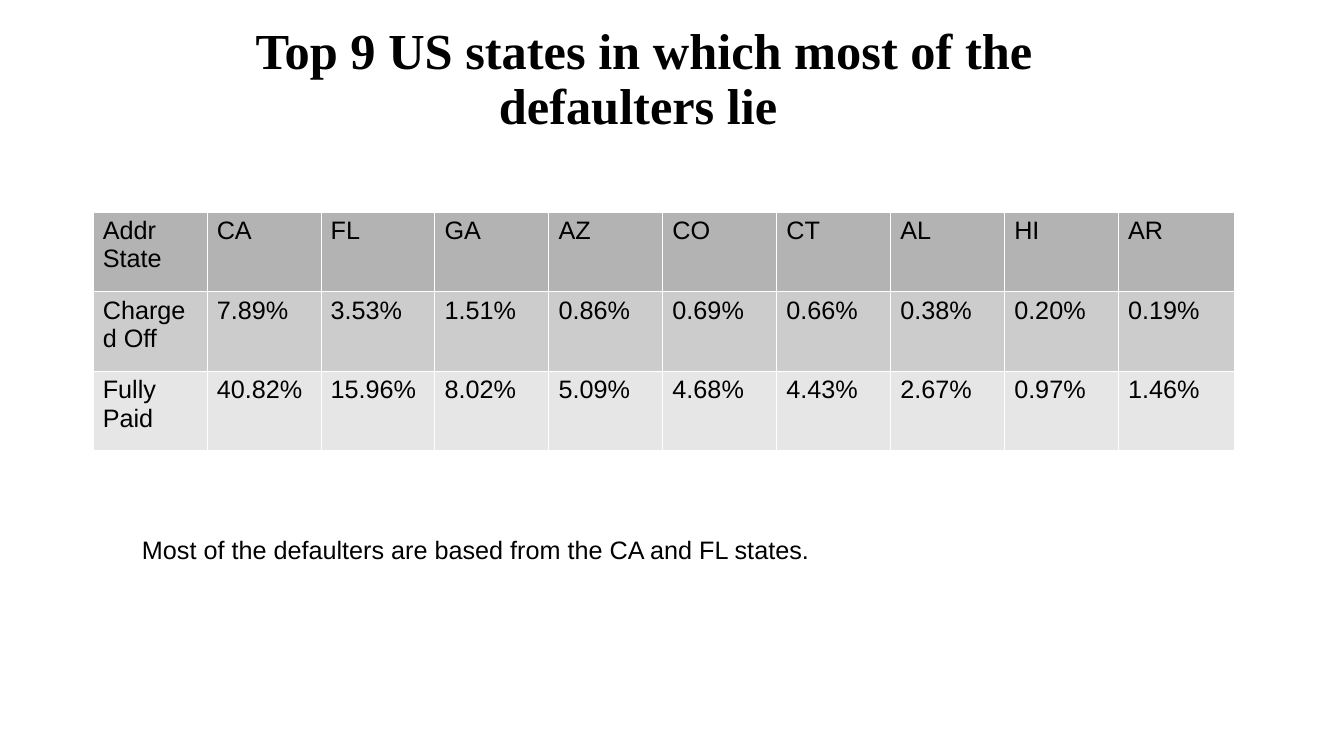
from dataclasses import dataclass

from lxml.etree import SubElement
from pptx import Presentation
from pptx.dml.color import RGBColor
from pptx.enum.text import MSO_ANCHOR, MSO_AUTO_SIZE, PP_ALIGN
from pptx.oxml.ns import qn
from pptx.util import Emu, Pt


@dataclass(frozen=True)
class Theme:
    ink: str = "000000"
    rule: str = "FFFFFF"
    bands: tuple = ("B3B3B3", "CCCCCC", "E6E6E6")
    head: int = 36
    body: int = 18
    serif: str = "Times New Roman"
    sans: str = "Arial"
    hair: float = 0.06


SCALE = 9144
WIDTH, HEIGHT = 1333, 750

STATES = [
    ("Addr State", "Charged Off", "Fully Paid"),
    ("CA", "7.89%", "40.82%"),
    ("FL", "3.53%", "15.96%"),
    ("GA", "1.51%", "8.02%"),
    ("AZ", "0.86%", "5.09%"),
    ("CO", "0.69%", "4.68%"),
    ("CT", "0.66%", "4.43%"),
    ("AL", "0.38%", "2.67%"),
    ("HI", "0.20%", "0.97%"),
    ("AR", "0.19%", "1.46%"),
]


def px(count):
    return Emu(count * SCALE)


class Painter:
    def __init__(self, slide, theme):
        self.slide = slide
        self.theme = theme

    def style(self, frame, size, face, bold=False):
        for para in frame.paragraphs:
            for run in para.runs:
                font = run.font
                font.size = Pt(size)
                font.name = face
                font.bold = bold
                font.color.rgb = RGBColor.from_string(self.theme.ink)

    def title(self, text, left, top, width, height):
        shape = self.slide.shapes.title
        shape.left, shape.top = px(left), px(top)
        shape.width, shape.height = px(width), px(height)
        frame = shape.text_frame
        frame.text = text
        frame.word_wrap = True
        frame.auto_size = MSO_AUTO_SIZE.NONE
        frame.vertical_anchor = MSO_ANCHOR.MIDDLE
        para = frame.paragraphs[0]
        para.alignment = PP_ALIGN.CENTER
        para.line_spacing = 0.9
        self.style(frame, self.theme.head, self.theme.serif, True)

    def note(self, text, left, top, width, height):
        box = self.slide.shapes.add_textbox(px(left), px(top), px(width), px(height))
        frame = box.text_frame
        frame.word_wrap = True
        frame.text = text
        self.style(frame, self.theme.body, self.theme.sans)

    def border(self, cell):
        props = cell._tc.get_or_add_tcPr()
        for index, side in enumerate(("lnL", "lnR", "lnT", "lnB")):
            line = props.makeelement(qn(f"a:{side}"), {"w": str(Pt(self.theme.hair))})
            fill = SubElement(line, qn("a:solidFill"))
            SubElement(fill, qn("a:srgbClr"), val=self.theme.rule)
            props.insert(index, line)

    def table(self, columns, left, top, widths, height):
        count = len(columns[0])
        frame = self.slide.shapes.add_table(
            count, len(columns), px(left), px(top), px(sum(widths)), px(height * count)
        )
        grid = frame.table
        grid.first_row = False
        grid.horz_banding = False
        for row in grid.rows:
            row.height = px(height)
        for col, (values, width) in enumerate(zip(columns, widths)):
            grid.columns[col].width = px(width)
            for row, (value, band) in enumerate(zip(values, self.theme.bands)):
                cell = grid.cell(row, col)
                cell.text_frame.text = value
                cell.fill.solid()
                cell.fill.fore_color.rgb = RGBColor.from_string(band)
                self.style(cell.text_frame, self.theme.body, self.theme.sans)
                self.border(cell)


def main():
    deck = Presentation()
    deck.slide_width, deck.slide_height = px(WIDTH), px(HEIGHT)
    slide = deck.slides.add_slide(deck.slide_layouts.get_by_name("Title Only"))
    painter = Painter(slide, Theme())
    painter.title(
        " Top 9 US states in which most of the defaulters lie", 124, 21, 1018, 118
    )
    widths = [113] * (len(STATES) - 1) + [115]
    painter.table(STATES, 92, 210, widths, 79)
    painter.note(
        "Most of the defaulters are based from the CA and FL states.",
        131, 525, 1008, 38,
    )
    deck.save("out.pptx")


if __name__ == "__main__":
    main()
